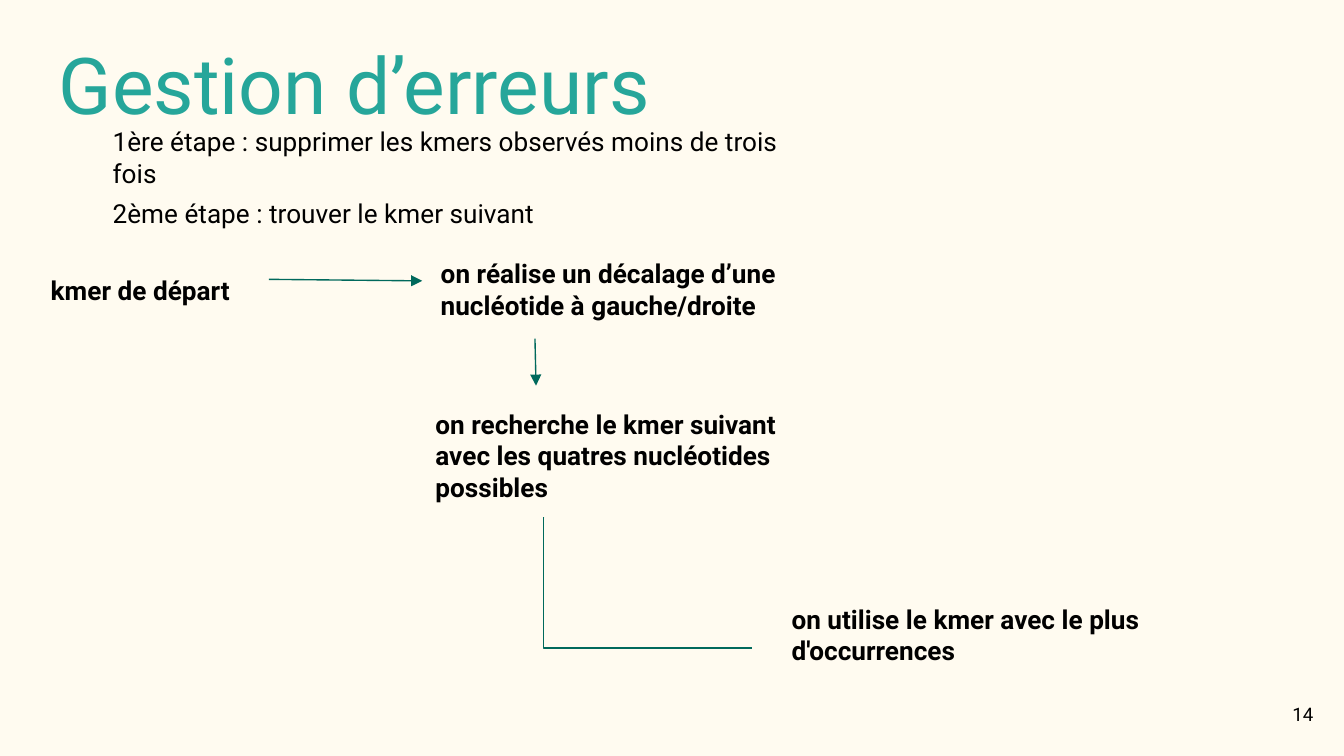
from pptx import Presentation
from pptx.dml.color import RGBColor
from pptx.enum.shapes import MSO_CONNECTOR
from pptx.enum.text import MSO_ANCHOR, PP_ALIGN
from pptx.oxml.ns import qn
from pptx.util import Cm, Pt
from lxml.etree import SubElement

COLORS = {"bg": "FFFBF0", "title": "26A69A", "text": "000000", "line": "00695C"}
FONT = "Roboto"


def color(name):
    return RGBColor.from_string(COLORS[name])


def add_text(s, text, x, y, w, h, size=14, bold=False, fill="text",
             align=PP_ALIGN.LEFT, anchor=MSO_ANCHOR.TOP):
    tf = s.shapes.add_textbox(Cm(x), Cm(y), Cm(w), Cm(h)).text_frame
    tf.word_wrap = True
    tf.vertical_anchor = anchor
    tf.margin_left = tf.margin_right = tf.margin_top = tf.margin_bottom = Cm(0.25)
    p = tf.paragraphs[0]
    p.text = text
    p.alignment = align
    p.font.name = FONT
    p.font.size = Pt(size)
    p.font.bold = bold
    p.font.color.rgb = color(fill)


def add_line(s, x1, y1, x2, y2, kind=MSO_CONNECTOR.STRAIGHT):
    line = s.shapes.add_connector(kind, Cm(x1), Cm(y1), Cm(x2), Cm(y2))
    line.line.color.rgb = color("line")
    line.line.width = Pt(0.75)
    SubElement(line._element.spPr, qn("a:effectLst"))
    return line


def add_arrow(s, *ends):
    ln = add_line(s, *ends).line._get_or_add_ln()
    SubElement(ln, qn("a:tailEnd"), type="triangle")


def add_elbow(s, *ends, bend):
    line = add_line(s, *ends, kind=MSO_CONNECTOR.ELBOW)
    line.adjustments if hasattr(line, "adjustments") else None
    geom = line._element.spPr.find(qn("a:prstGeom"))
    av = geom.find(qn("a:avLst"))
    if av is None:
        av = SubElement(geom, qn("a:avLst"))
    SubElement(av, qn("a:gd"), name="adj1", fmla=f"val {bend}")


def main():
    prs = Presentation()
    prs.slide_width, prs.slide_height = Cm(25.4), Cm(14.29)
    s = prs.slides.add_slide(prs.slide_layouts[6])
    s.background.fill.solid()
    s.background.fill.fore_color.rgb = color("bg")

    # Title and the two stages
    add_text(s, "Gestion d’erreurs", 0.86, 0.43, 23.67, 1.7, size=42, fill="title")
    add_text(s, "1ère étape : supprimer les kmers observés moins de trois fois",
             1.88, 2.13, 13.64, 1.12)
    add_text(s, "2ème étape : trouver le kmer suivant", 1.88, 3.48, 12.65, 1.12)

    # Steps of the search
    steps = [
        ("kmer de départ", 0.71, 4.93, 3.91, 1.12),
        ("on réalise un décalage d’une nucléotide à gauche/droite",
         8.08, 4.62, 7.7, 1.7),
        ("on recherche le kmer suivant avec les quatres nucléotides possibles",
         7.98, 7.47, 7.11, 2.31),
        ("on utilise le kmer avec le plus d'occurrences", 14.71, 11.15, 7.57, 1.7),
    ]
    for step in steps:
        add_text(s, *step, bold=True)

    # Links between steps
    add_arrow(s, 5.08, 5.28, 7.98, 5.31)
    add_arrow(s, 10.11, 6.4, 10.13, 7.29)
    add_elbow(s, 10.29, 9.78, 14.22, 12.25, bend=-500)

    # Slide number
    add_text(s, "14", 23.55, 12.95, 1.52, 1.09, size=10,
             align=PP_ALIGN.RIGHT, anchor=MSO_ANCHOR.MIDDLE)

    prs.save("out.pptx")


main()
